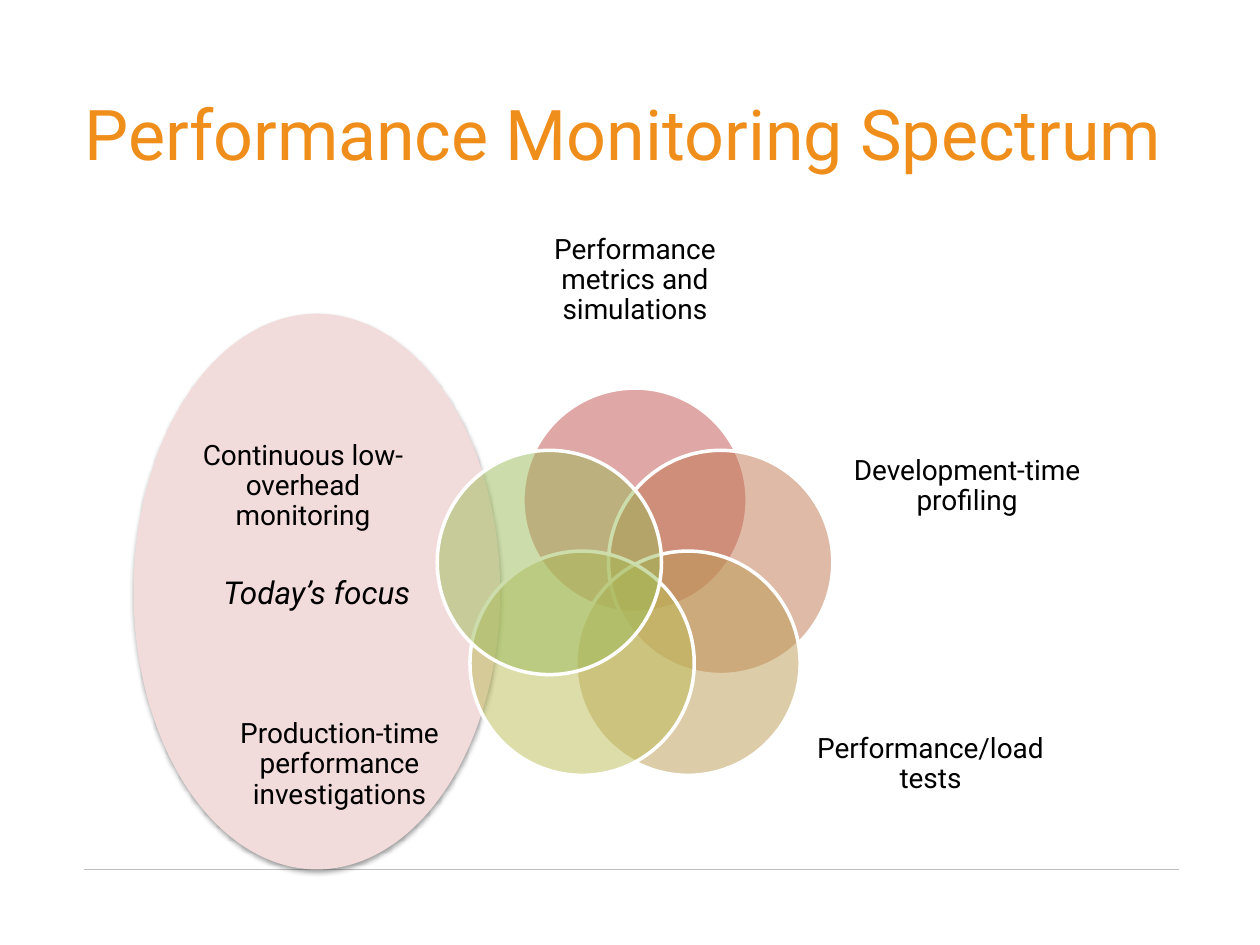
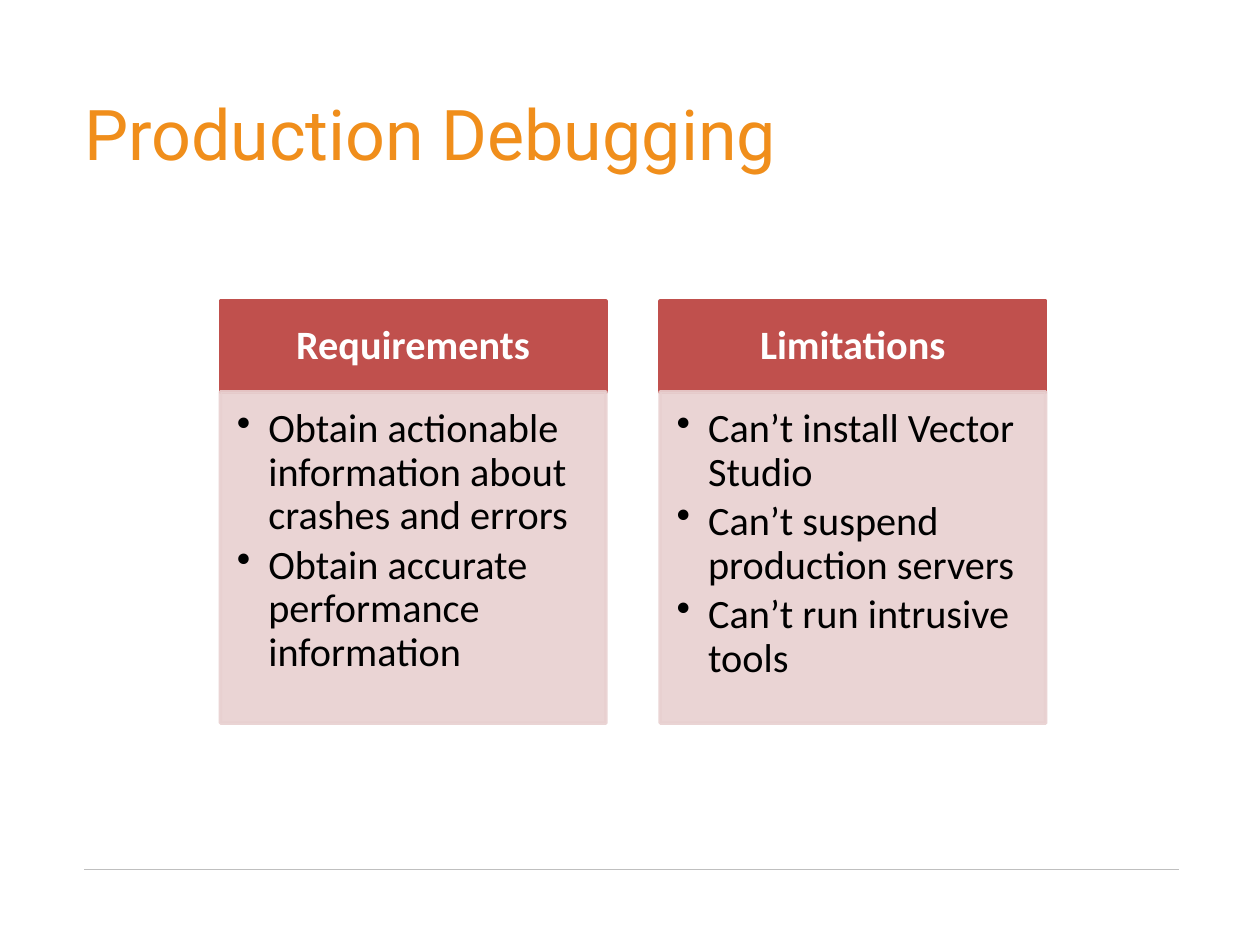
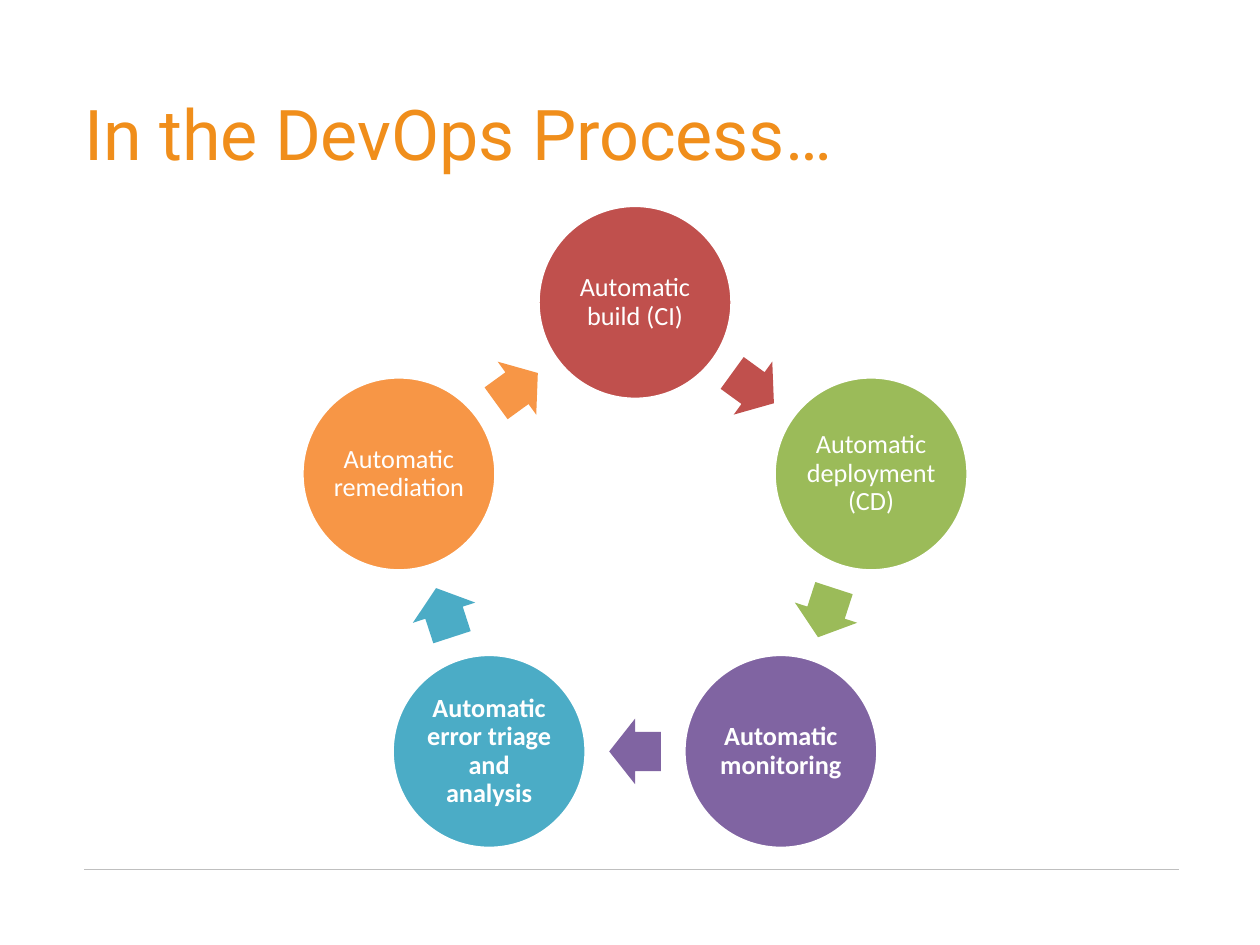
"""Build three slides on performance monitoring, production debugging and DevOps."""
from math import cos, radians, sin

from lxml.etree import SubElement
from pptx import Presentation
from pptx.dml.color import RGBColor
from pptx.enum.shapes import MSO_CONNECTOR as Connector, MSO_SHAPE as Shape
from pptx.enum.text import MSO_ANCHOR as Anchor, PP_ALIGN as Align
from pptx.oxml.ns import qn
from pptx.util import Emu, Inches, Pt

SLIDE_W, SLIDE_H = Inches(10), Inches(7.5)
COLUMN, ROW = SLIDE_W / 100, SLIDE_H / 75
CENTRE_X = 50.4
STEP = 72

COLORS = {
    "title": "F08E1B", "rule": "BFBFBF", "ink": "000000", "paper": "FFFFFF",
    "focus": "F2DCDB", "card": "E8D0D0", "red": "C0504D", "rust": "BF7750",
    "sand": "BD9B53", "olive": "BCBC56", "green": "9BBB59",
    "purple": "8064A2", "teal": "4BACC6", "orange": "F79646",
}

PETALS = [
    ("Performance metrics and simulations", "red", 0, 22.25, 20.6, 11.9),
    ("Development-time profiling", "rust", 26.35, 38.6, 18.5, 13),
    ("Performance/load tests", "sand", 23.45, 60.7, 18.5, 13),
    ("Production-time performance investigations", "olive", -23.45, 60.7, 18.5, 13),
    ("Continuous low-overhead monitoring", "green", -26.35, 38.6, 18.5, 13),
]

CARDS = [
    ("Requirements", ["Obtain actionable information about crashes and errors",
                      "Obtain accurate performance information"]),
    ("Limitations", ["Can’t install Vector Studio",
                     "Can’t suspend production servers",
                     "Can’t run intrusive tools"]),
]

STAGES = [
    ("Automatic build (CI)", "red", False),
    ("Automatic deployment (CD)", "green", False),
    ("Automatic monitoring", "purple", True),
    ("Automatic error triage and analysis", "teal", True),
    ("Automatic remediation", "orange", False),
]


def color(name):
    """Return the palette colour of that name."""
    return RGBColor.from_string(COLORS[name])


def place(left, top, width, height):
    """Turn columns and rows of the grid into slide lengths."""
    return (Emu(round(left * COLUMN)), Emu(round(top * ROW)),
            Emu(round(width * COLUMN)), Emu(round(height * ROW)))


def around(x, y, width, height):
    """Return the box of the given size centred on a point."""
    return x - width / 2, y - height / 2, width, height


def on_ring(centre_y, radius, angle):
    """Return the point at a clockwise angle from the top of a ring."""
    turn = radians(angle)
    return CENTRE_X + radius * sin(turn), centre_y - radius * cos(turn)


def write(shape, *lines, size=16, font="Roboto", ink="ink", bold=False, italic=False,
          align=Align.CENTER, anchor=Anchor.MIDDLE, insets=(0, 0, 0, 0),
          line_spacing=0.9, after=0.35, bullet=False):
    """Fill a shape with formatted paragraphs."""
    frame = shape.text_frame
    frame.word_wrap = True
    frame.vertical_anchor = anchor
    (frame.margin_left, frame.margin_top,
     frame.margin_right, frame.margin_bottom) = place(*insets)
    for index, line in enumerate(lines):
        paragraph = frame.paragraphs[0] if index == 0 else frame.add_paragraph()
        paragraph.alignment = align
        paragraph.line_spacing = line_spacing
        paragraph.space_after = Pt(size * after)
        if bullet:
            properties = paragraph._p.get_or_add_pPr()
            properties.set("marL", str(Inches(0.25)))
            properties.set("indent", str(-Inches(0.25)))
            SubElement(properties, qn("a:buChar"), char="•")
        run = paragraph.add_run()
        run.text = line
        run.font.size, run.font.name = Pt(size), font
        run.font.bold, run.font.italic = bold, italic
        run.font.color.rgb = color(ink)


def add_label(slide, box, *lines, **text_format):
    """Add free-standing text."""
    write(slide.shapes.add_textbox(*place(*box)), *lines, **text_format)


def set_opacity(shape, percent, part="a:solidFill"):
    """Make the fill or outline of a shape see-through."""
    for tint in shape._element.spPr.findall(f"{part}/a:srgbClr", {"a": qn("a:x")[1:-2]}):
        SubElement(tint, qn("a:alpha"), val=str(percent * 1000))


def add_block(slide, kind, box, fill, outline=None):
    """Add a flat preset shape with an optional outline."""
    block = slide.shapes.add_shape(kind, *place(*box))
    block.shadow.inherit = False
    block.fill.solid()
    block.fill.fore_color.rgb = color(fill)
    if outline:
        block.line.color.rgb = color(outline)
        block.line.width = Pt(2)
    else:
        block.line.fill.background()
    return block


def cast_shadow(shape):
    """Give a shape a soft shadow below it."""
    effects = shape._element.spPr.find(qn("a:effectLst"))
    shadow = SubElement(effects, qn("a:outerShdw"), blurRad=str(Pt(3.1)),
                        dist=str(Pt(1.6)), dir=str(90 * 60000), rotWithShape="0")
    tint = SubElement(shadow, qn("a:srgbClr"), val=COLORS["ink"])
    SubElement(tint, qn("a:alpha"), val="38000")


def start_slide(deck):
    """Add a blank slide with the footer rule."""
    slide = deck.slides.add_slide(deck.slide_layouts[6])
    left, top, width, _ = place(6.7, 69, 86.9, 0)
    rule = slide.shapes.add_connector(Connector.STRAIGHT, left, top, left + width, top)
    rule.line.color.rgb = color("rule")
    rule.line.width = Pt(0.75)
    SubElement(rule._element.spPr, qn("a:effectLst"))
    return slide


def add_title(slide, title):
    """Add the slide title."""
    add_label(slide, (6.7, 5.2, 87.4, 11.1), title, size=40, ink="title",
              align=Align.LEFT, insets=(0, 0, 1, 0.5), line_spacing=1, after=0)


def add_petal(slide, angle, petal):
    """Add one overlapping circle and its outer label."""
    label, fill, shift, label_y, width, height = petal
    box = around(*on_ring(46.85, 7.15, angle), 17.8, 17.8)
    set_opacity(add_block(slide, Shape.OVAL, box, fill, "paper"), 50)
    add_label(slide, around(CENTRE_X + shift, label_y, width, height), label)


def add_card(slide, left, heading, points):
    """Add a heading band over a panel of bullet points."""
    band = add_block(slide, Shape.RECTANGLE, (left, 23.9, 30.6, 7.2), "red", "red")
    write(band, heading, size=23, font="Calibri", ink="paper", bold=True,
          insets=(1.8, 1, 1.8, 1))
    panel = add_block(slide, Shape.RECTANGLE, (left, 31.1, 30.6, 26.3), "card", "card")
    set_opacity(panel, 90)
    set_opacity(panel, 90, "a:ln/a:solidFill")
    write(panel, *points, size=23, font="Calibri", align=Align.LEFT, anchor=Anchor.TOP,
          insets=(1.3, 1.3, 1.8, 2), after=0.15, bullet=True)


def add_stage(slide, angle, label, fill, bold):
    """Add one stage of the cycle and the arrow to the next."""
    centre_y, radius = 43.7, 19.7
    stage = add_block(slide, Shape.OVAL, around(*on_ring(centre_y, radius, angle), 15.4, 15.4),
                      fill, "paper")
    write(stage, label, size=15, font="Calibri", ink="paper", bold=bold,
          insets=(0.2, 0.2, 0.2, 0.2))
    heading = angle + STEP / 2
    midway = on_ring(centre_y, radius * cos(radians(STEP / 2)), heading)
    arrow = add_block(slide, Shape.RIGHT_ARROW, around(*midway, 4.1, 5.2), fill)
    arrow.adjustments[0], arrow.adjustments[1] = 0.6, 0.5
    arrow.rotation = heading


def build_spectrum(deck):
    """Build the monitoring spectrum slide."""
    slide = start_slide(deck)
    focus = add_block(slide, Shape.OVAL, (10.6, 24.9, 29.1, 44.1), "focus")
    cast_shadow(focus)
    write(focus, "Today’s focus", size=18, italic=True, line_spacing=1, after=0)
    add_title(slide, "Performance Monitoring Spectrum")
    for index, petal in enumerate(PETALS):
        add_petal(slide, index * STEP, petal)


def build_debugging(deck):
    """Build the production debugging slide."""
    slide = start_slide(deck)
    add_title(slide, "Production Debugging")
    for index, (heading, points) in enumerate(CARDS):
        add_card(slide, 17.5 + index * 34.9, heading, points)


def build_process(deck):
    """Build the DevOps cycle slide."""
    slide = start_slide(deck)
    add_title(slide, "In the DevOps Process…")
    for index, stage in enumerate(STAGES):
        add_stage(slide, index * STEP, *stage)


def main():
    """Build and save the deck."""
    deck = Presentation()
    deck.slide_width, deck.slide_height = SLIDE_W, SLIDE_H
    build_spectrum(deck)
    build_debugging(deck)
    build_process(deck)
    deck.save("out.pptx")


if __name__ == "__main__":
    main()
